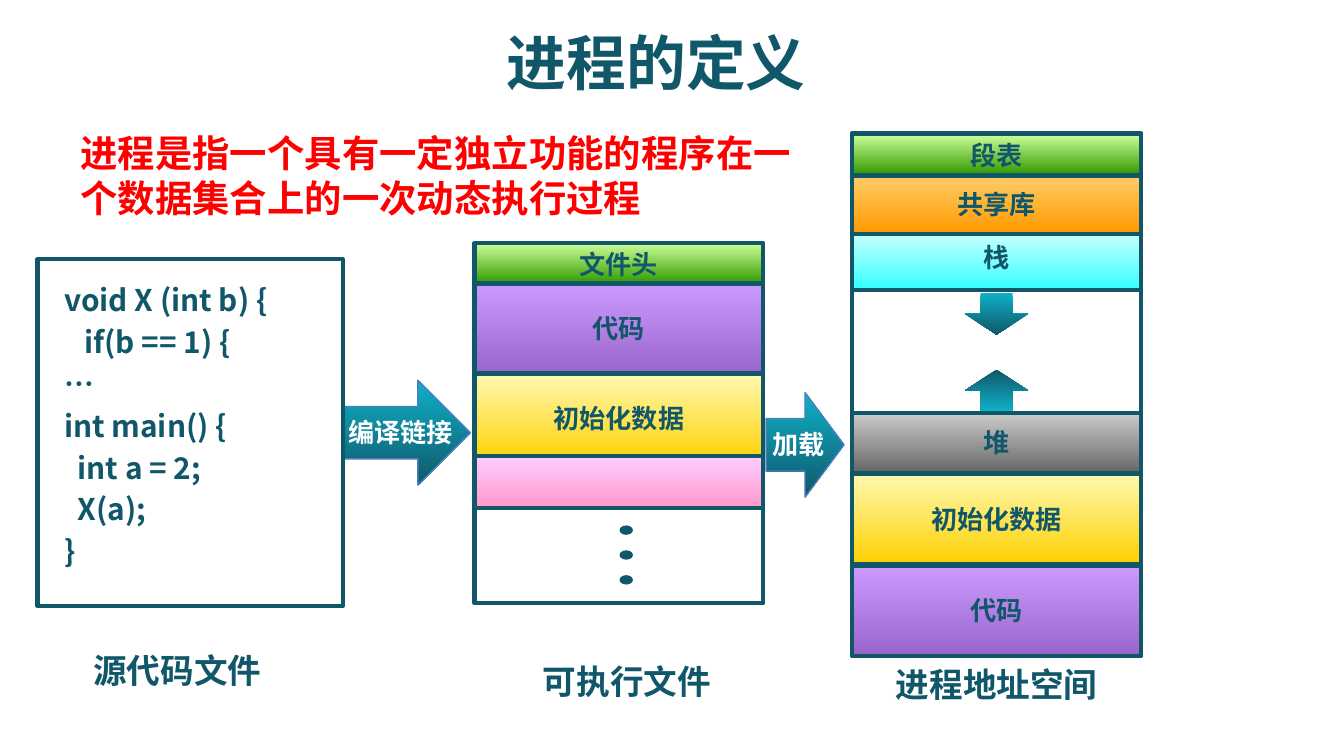
from lxml.etree import SubElement
from pptx import Presentation
from pptx.dml.color import RGBColor
from pptx.enum.shapes import MSO_SHAPE as Shape
from pptx.enum.text import PP_ALIGN as Align
from pptx.oxml.ns import qn
from pptx.util import Inches, Pt

FONT = "Noto Sans CJK SC"
TEAL = RGBColor(0x11, 0x57, 0x6A)
RED = RGBColor(0xFF, 0x00, 0x00)
WHITE = RGBColor(0xFF, 0xFF, 0xFF)
BLUE = RGBColor(0x4B, 0x7E, 0xBC)
AQUA = RGBColor(0x0E, 0xB1, 0xC8)
PURPLES = RGBColor(0xCC, 0x99, 0xFF), RGBColor(0x99, 0x66, 0xCC)
YELLOWS = RGBColor(0xFF, 0xF9, 0xB1), RGBColor(0xFD, 0xD0, 0x00)
GREYS = RGBColor(0xCC, 0xCC, 0xCC), RGBColor(0x66, 0x66, 0x66)
CYANS = RGBColor(0xCC, 0xFF, 0xFF), RGBColor(0x33, 0xFF, 0xFF)
ORANGES = RGBColor(0xFF, 0xCC, 0x66), RGBColor(0xFF, 0x99, 0x00)
GREENS = RGBColor(0xCC, 0xFF, 0x99), RGBColor(0x33, 0x99, 0x00)
PINKS = RGBColor(0xFF, 0xCC, 0xFF), RGBColor(0xFF, 0x99, 0xCC)

LABEL_H = 0.34
LINE_HEIGHT = 1.2
CODE = [
    "void X (int b) {",
    "   if(b == 1) {",
    "…",
    "int main() {",
    "  int a = 2;",
    "  X(a);",
    "}",
]


def add_text(slide, box, lines, size, color=TEAL, align=Align.CENTER, wrap=False, gap=0):
    frame = slide.shapes.add_textbox(*map(Inches, box)).text_frame
    frame.word_wrap = wrap
    for index, line in enumerate(lines):
        paragraph = frame.paragraphs[0] if index == 0 else frame.add_paragraph()
        paragraph.alignment = align
        paragraph.line_spacing = Pt(size * LINE_HEIGHT)
        paragraph.space_before = Pt(gap if index else 0)
        run = paragraph.add_run()
        run.text = line
        font = run.font
        font.name, font.size, font.bold = FONT, Pt(size), True
        font.color.rgb = color
        for tag in ("a:ea", "a:cs"):
            SubElement(font._element, qn(tag)).set("typeface", FONT)


def add_block(slide, kind, box, colors=(), line=TEAL, line_width=2.25):
    block = slide.shapes.add_shape(kind, *map(Inches, box))
    block.shadow.inherit = False
    if len(colors) == 2:
        block.fill.gradient()
        block.fill.gradient_angle = 270
        for stop, color in zip(block.fill.gradient_stops, colors):
            stop.color.rgb = color
    elif colors:
        block.fill.solid()
        block.fill.fore_color.rgb = colors[0]
    else:
        block.fill.background()
    if line is None:
        block.line.fill.background()
    else:
        block.line.color.rgb = line
        block.line.width = Pt(line_width)


def add_label(slide, center_x, center_y, text, color=TEAL):
    width = 0.2 * (len(text) + 1)
    box = (center_x - width / 2, center_y - LABEL_H / 2, width, LABEL_H)
    add_text(slide, box, [text], 14, color)


def add_segments(slide, box, segments):
    left, top, width, _ = box
    for offset, height, colors, name, shift in segments:
        add_block(slide, Shape.RECTANGLE, (left, top + offset, width, height), colors)
        if name:
            center_y = top + offset + height / 2 + shift
            add_label(slide, left + width / 2, center_y, name)


def add_caption(slide, center_x, top, text):
    width = 0.25 * len(text) + 0.22
    add_text(slide, (center_x - width / 2, top, width, 0.4), [text], 18)


def add_step(slide, box, text):
    left, top, width, height = box
    add_block(slide, Shape.RIGHT_ARROW, box, (AQUA, TEAL), BLUE, 0.75)
    add_label(slide, left + width / 2 - 0.05, top + height / 2, text, WHITE)


def add_source_file(slide, box):
    left, top, width, height = box
    add_block(slide, Shape.RECTANGLE, box)
    code_box = (left + 0.1, top + 0.12, width - 0.16, height - 0.27)
    add_text(slide, code_box, CODE, 16, align=Align.LEFT, wrap=True, gap=3.2)
    add_caption(slide, left + 1.04, top + 2.86, "源代码文件")


def add_executable(slide, box):
    left, top, width, _ = box
    add_segments(slide, box, [
        (0.3, 0.67, PURPLES, "代码", 0),
        (0.97, 0.67, YELLOWS, "初始化数据", 0),
        (0, 0.3, GREENS, "文件头", 0.01),
        (1.58, 0.39, PINKS, "", 0),
        (1.97, 0.71, (), "", 0),
    ])
    for row in range(3):
        dot = (left + 1.08, top + 2.1 + 0.185 * row, 0.1, 0.07)
        add_block(slide, Shape.OVAL, dot, (TEAL,), None)
    add_caption(slide, left + width / 2 + 0.06, top + 3.06, "可执行文件")


def add_address_space(slide, box):
    left, top, width, _ = box
    add_block(slide, Shape.RECTANGLE, box)
    add_segments(slide, box, [
        (3.22, 0.67, PURPLES, "代码", 0),
        (2.54, 0.67, YELLOWS, "初始化数据", 0),
        (2.08, 0.45, GREYS, "堆", 0),
        (0.74, 0.43, CYANS, "栈", -0.03),
        (0.32, 0.43, ORANGES, "共享库", 0),
        (0.01, 0.3, GREENS, "段表", 0.01),
    ])
    for kind, offset, colors in (
        (Shape.DOWN_ARROW, 1.19, (AQUA, TEAL)),
        (Shape.UP_ARROW, 1.76, (TEAL, AQUA)),
    ):
        add_block(slide, kind, (left + 0.84, top + offset, 0.47, 0.31), colors, None)
    add_caption(slide, left + width / 2, top + 3.9, "进程地址空间")


def main():
    deck = Presentation()
    deck.slide_width = Inches(10)
    deck.slide_height = deck.slide_width * 9 // 16
    slide = deck.slides.add_slide(deck.slide_layouts[6])
    add_text(slide, (3.65, 0.14, 2.47, 0.64), ["进程的定义"], 32)
    definition = "进程是指一个具有一定独立功能的程序在一个数据集合上的一次动态执行过程"
    add_text(slide, (0.5, 0.92, 5.5, 0.77), [definition], 20, RED, Align.LEFT, True)
    add_address_space(slide, (6.34, 0.99, 2.15, 3.89))
    add_step(slide, (5.7, 2.92, 0.58, 0.78), "加载")
    add_executable(slide, (3.53, 1.81, 2.15, 2.68))
    add_step(slide, (2.56, 2.83, 0.94, 0.78), "编译链接")
    add_source_file(slide, (0.28, 1.93, 2.27, 2.58))
    deck.save("out.pptx")


if __name__ == "__main__":
    main()
